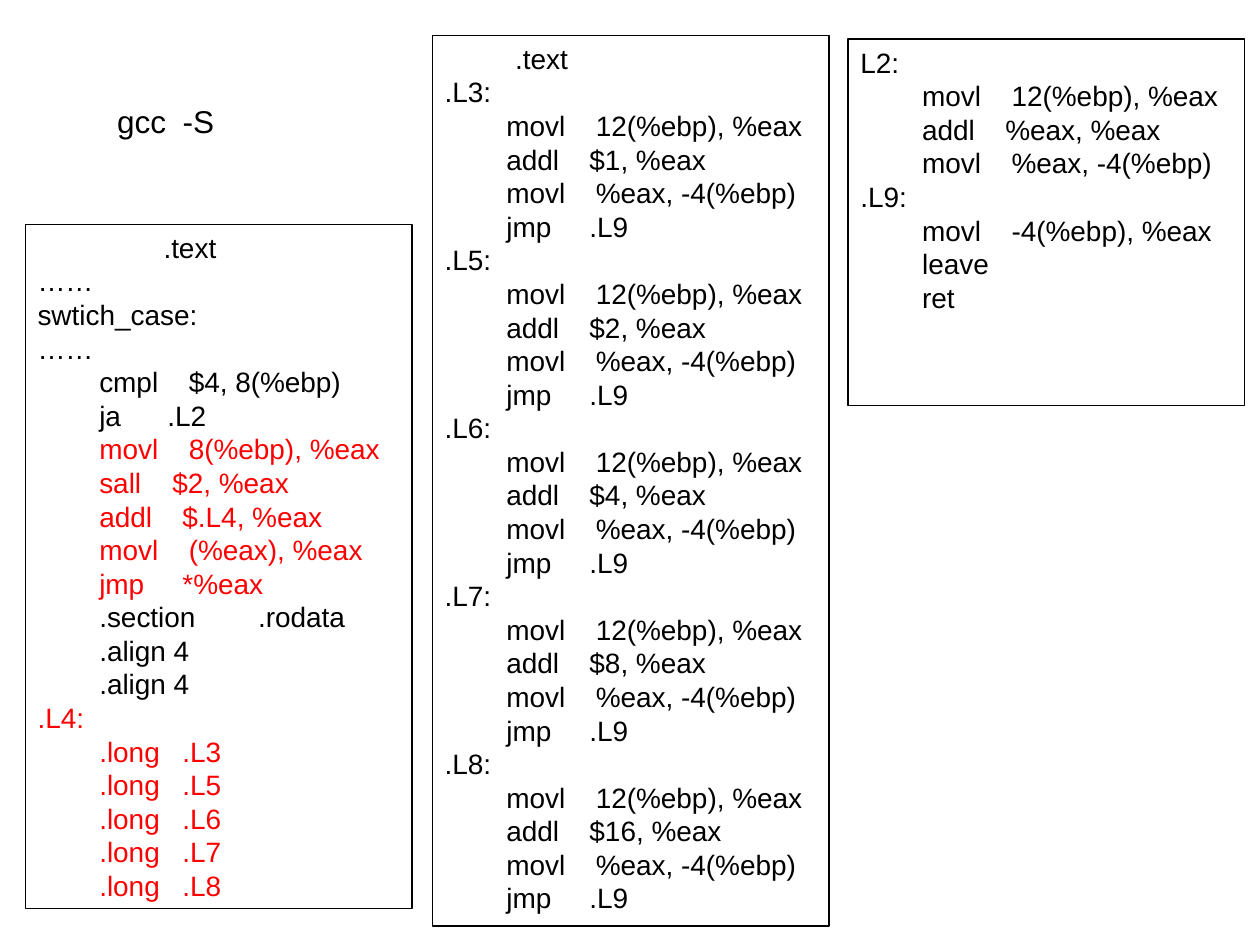
import dataclasses
import typing

import lxml.etree
import pptx
import pptx.dml.color
import pptx.enum.shapes
import pptx.enum.text
import pptx.oxml.ns
import pptx.util


@dataclasses.dataclass(frozen=True)
class Theme:
    font: str = "Arial"
    ink: str = "000000"
    accent: str = "FF0000"
    code_size: float = 16
    heading_size: float = 18
    line_factor: float = 1.2
    border: float = 0.74


@dataclasses.dataclass(frozen=True)
class Area:
    column: float
    row: float
    columns: float
    rows: float


class Line(typing.NamedTuple):
    text: str
    stops: tuple[float, ...] = ()
    color: str = Theme.ink
    size: float = Theme.code_size


@dataclasses.dataclass(frozen=True)
class Panel:
    area: Area
    lines: list[Line]


THEME = Theme()
CELL = 0.1
GRID_COLUMNS, GRID_ROWS = 100, 75
INDENT = 0.49
OPERAND_OFFSETS = {"movl": 0.71, "ja": 0.54, "sall": 0.58, ".section": 1.26}
COMMON_OFFSET = 0.66


def cells(count: float) -> pptx.util.Length:
    return pptx.util.Inches(count * CELL)


def place(shape, area: Area) -> None:
    shape.left, shape.top = cells(area.column), cells(area.row)
    shape.width, shape.height = cells(area.columns), cells(area.rows)


def write_text(paragraph, text: str, *, size: float, color: str, stops: tuple[float, ...] = ()) -> None:
    paragraph.alignment = pptx.enum.text.PP_ALIGN.LEFT
    paragraph.line_spacing = pptx.util.Pt(size * THEME.line_factor)
    if stops:
        properties = paragraph._p.get_or_add_pPr()
        tab_list = lxml.etree.SubElement(properties, pptx.oxml.ns.qn("a:tabLst"))
        for stop in stops:
            tab = lxml.etree.SubElement(tab_list, pptx.oxml.ns.qn("a:tab"))
            tab.set("pos", str(int(pptx.util.Inches(stop))))
            tab.set("algn", "l")
    run = paragraph.add_run()
    run.text = text
    run.font.name = THEME.font
    run.font.size = pptx.util.Pt(size)
    run.font.color.rgb = pptx.dml.color.RGBColor.from_string(color)


def prepare_frame(shape):
    frame = shape.text_frame
    frame.word_wrap = True
    frame.auto_size = pptx.enum.text.MSO_AUTO_SIZE.NONE
    frame.vertical_anchor = pptx.enum.text.MSO_ANCHOR.TOP
    frame.margin_left = frame.margin_right = pptx.util.Inches(0.1)
    frame.margin_top = frame.margin_bottom = pptx.util.Inches(0.05)
    return frame


def instruction(mnemonic: str, operands: str = "", color: str = THEME.ink) -> Line:
    if not operands:
        return Line(f"\t{mnemonic}", (INDENT,), color)
    offset = OPERAND_OFFSETS.get(mnemonic, COMMON_OFFSET)
    return Line(f"\t{mnemonic}\t{operands}", (INDENT, INDENT + offset), color)


def case_block(label: str, addend: int) -> list[Line]:
    return [
        Line(f"{label}:"),
        instruction("movl", "12(%ebp), %eax"),
        instruction("addl", f"${addend}, %eax"),
        instruction("movl", "%eax, -4(%ebp)"),
        instruction("jmp", ".L9"),
    ]


def draw_panel(slide, panel: Panel) -> None:
    area = panel.area
    shape = slide.shapes.add_shape(
        pptx.enum.shapes.MSO_SHAPE.RECTANGLE,
        cells(area.column), cells(area.row), cells(area.columns), cells(area.rows),
    )
    shape.shadow.inherit = False
    shape.fill.background()
    shape.line.color.rgb = pptx.dml.color.RGBColor.from_string(THEME.ink)
    shape.line.width = pptx.util.Pt(THEME.border)
    frame = prepare_frame(shape)
    for index, line in enumerate(panel.lines):
        paragraph = frame.add_paragraph() if index else frame.paragraphs[0]
        write_text(paragraph, line.text, size=line.size, color=line.color, stops=line.stops)


def draw_heading(slide) -> None:
    title = slide.shapes.title
    place(title, Area(8.3, 7.6, 15, 4))
    paragraph = prepare_frame(title).paragraphs[0]
    write_text(paragraph, "gcc\t-S", size=THEME.heading_size, color=THEME.ink, stops=(0.52,))


CASES = {".L3": 1, ".L5": 2, ".L6": 4, ".L7": 8, ".L8": 16}
JUMP = [
    ("movl", "8(%ebp), %eax"),
    ("sall", "$2, %eax"),
    ("addl", "$.L4, %eax"),
    ("movl", "(%eax), %eax"),
    ("jmp", "*%eax"),
]

PANELS = [
    Panel(Area(2, 17.8, 30.7, 54.3), [
        Line("\t.text", (1,)),
        Line("……"),
        Line("swtich_case:"),
        Line("……"),
        instruction("cmpl", "$4, 8(%ebp)")._replace(stops=(INDENT, INDENT + 0.71)),
        instruction("ja", ".L2"),
        *(instruction(mnemonic, operands, THEME.accent) for mnemonic, operands in JUMP),
        instruction(".section", ".rodata"),
        instruction(".align 4"),
        instruction(".align 4"),
        Line(".L4:", color=THEME.accent),
        *(instruction(".long", label, THEME.accent) for label in CASES),
    ]),
    Panel(Area(34.3, 2.8, 31.5, 70.7), [
        Line("\t.text", (0.56,), size=THEME.code_size),
        *(line for label, addend in CASES.items() for line in case_block(label, addend)),
    ]),
    Panel(Area(67.3, 3.1, 31.5, 29.1), [
        Line("L2:"),
        instruction("movl", "12(%ebp), %eax"),
        instruction("addl", "%eax, %eax"),
        instruction("movl", "%eax, -4(%ebp)"),
        Line(".L9:"),
        instruction("movl", "-4(%ebp), %eax"),
        instruction("leave"),
        instruction("ret"),
    ]),
]


def main() -> None:
    presentation = pptx.Presentation()
    presentation.slide_width = cells(GRID_COLUMNS)
    presentation.slide_height = cells(GRID_ROWS)
    slide = presentation.slides.add_slide(presentation.slide_layouts[5])
    for panel in PANELS:
        draw_panel(slide, panel)
    draw_heading(slide)
    presentation.save("out.pptx")


main()
